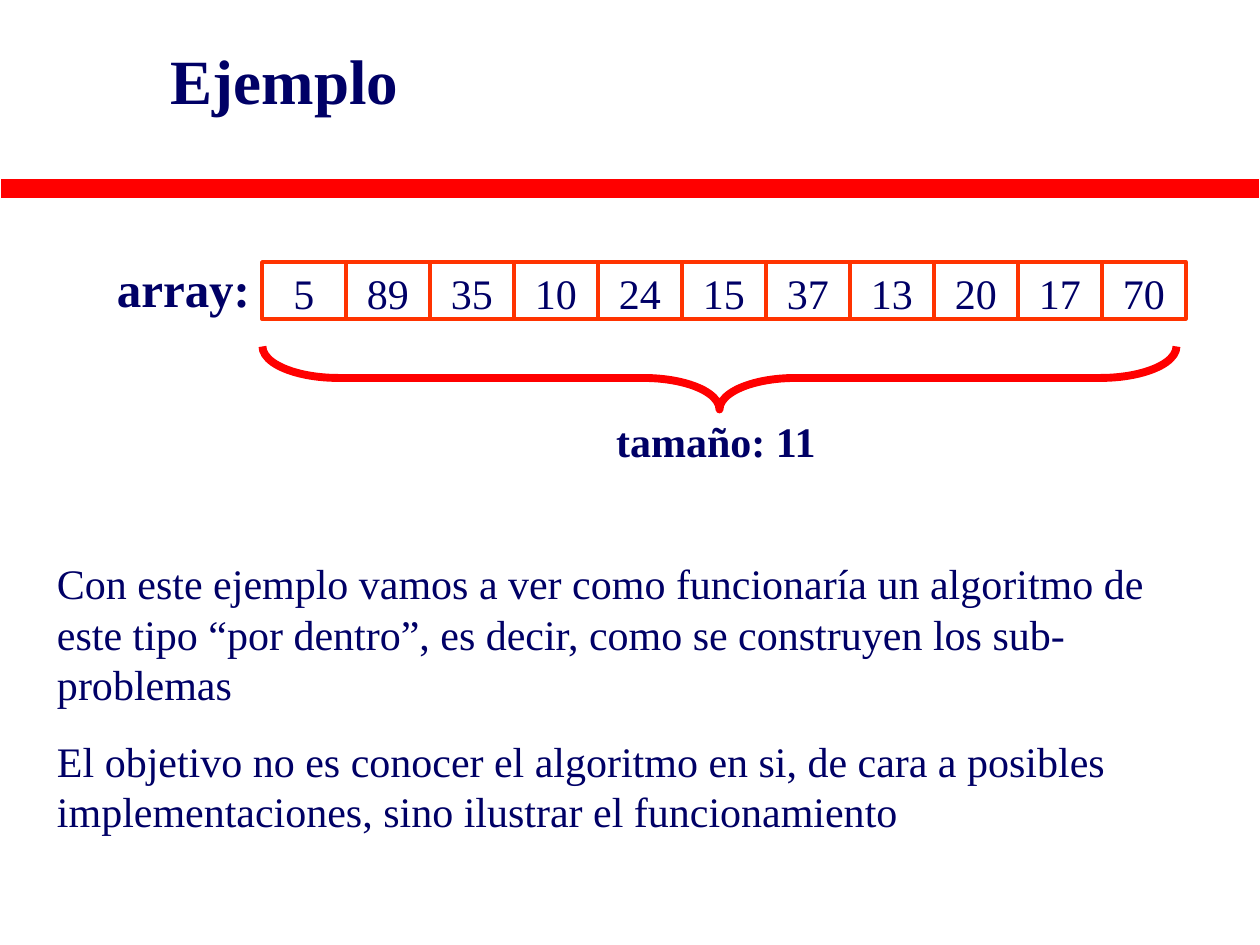
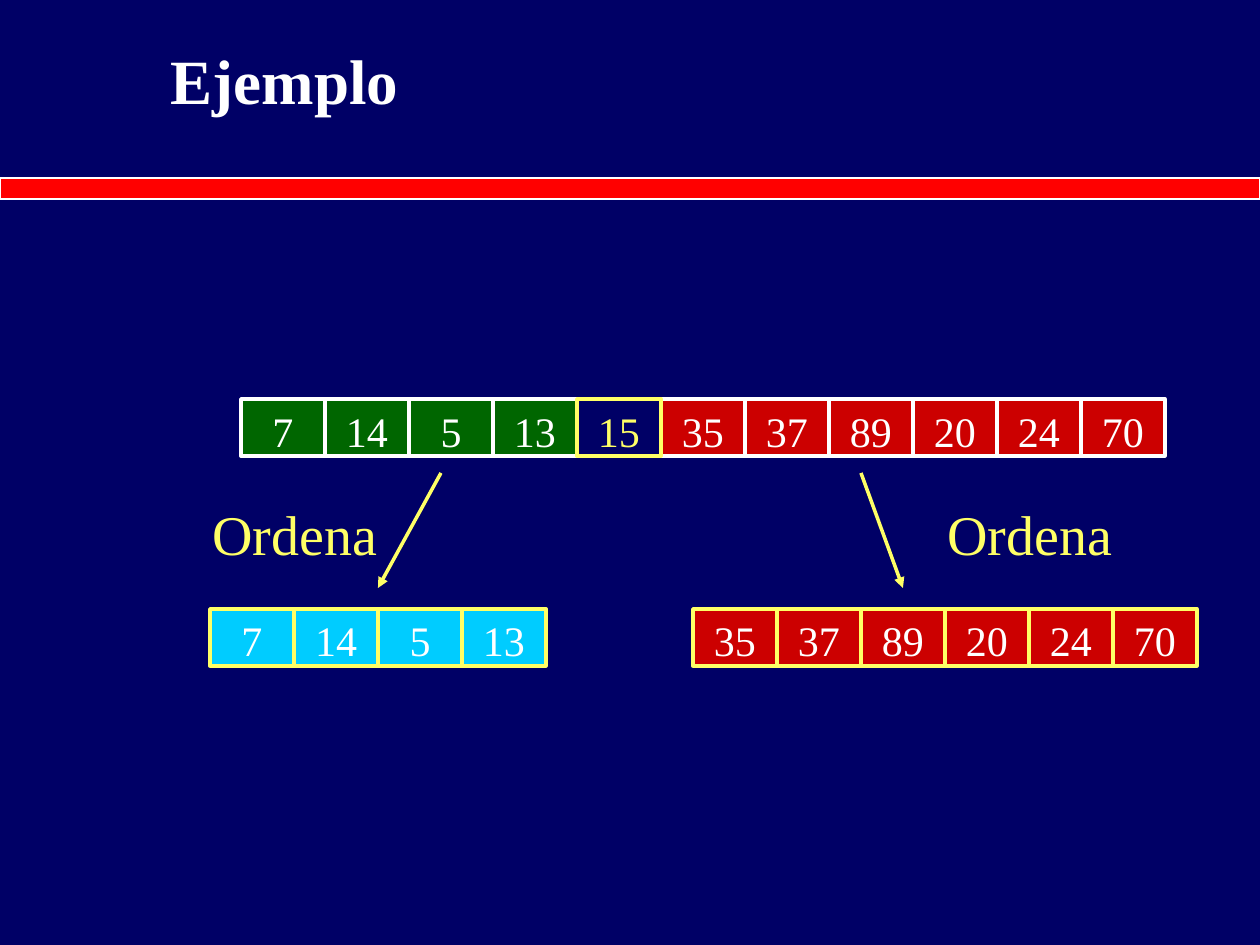
"""Build two slides that show an array and the first partition of its sorting."""
import pptx
import pptx.dml.color
import pptx.enum.shapes
import pptx.enum.text
import pptx.util
import lxml.etree

PX = 7257
FONT = "Times New Roman"
NAVY, WHITE, RED, YELLOW = "000066", "FFFFFF", "FF0000", "FFFF66"
ORANGE, GREEN, CRIMSON, CYAN = "FF3300", "006600", "CC0000", "00CCFF"
CELL_WIDTH, CELL_HEIGHT = 84, 57
SHAPES = pptx.enum.shapes.MSO_SHAPE
ALIGN = pptx.enum.text.PP_ALIGN
ANCHOR = pptx.enum.text.MSO_ANCHOR


def paint(color_format, color):
    color_format.rgb = pptx.dml.color.RGBColor.from_string(color)


def write_text(shape, texts, size, color, align=ALIGN.LEFT, bold=False, anchor=ANCHOR.TOP):
    frame = shape.text_frame
    frame.word_wrap = True
    frame.vertical_anchor = anchor
    frame.margin_left = frame.margin_right = 13 * PX
    frame.margin_top = frame.margin_bottom = 6 * PX
    for index, text in enumerate(texts):
        paragraph = frame.add_paragraph() if index else frame.paragraphs[0]
        paragraph.alignment = align
        paragraph.space_before = pptx.util.Pt(15 if index else 0)
        run = paragraph.add_run()
        run.text = text
        run.font.name = FONT
        run.font.size = pptx.util.Pt(size)
        run.font.bold = bold
        paint(run.font.color, color)


presentation = pptx.Presentation()
presentation.slide_width, presentation.slide_height = 1260 * PX, 945 * PX

slides = []
for background, title_color in [(WHITE, NAVY), (NAVY, WHITE)]:
    slide = presentation.slides.add_slide(presentation.slide_layouts[6])
    slides.append(slide)
    slide.background.fill.solid()
    paint(slide.background.fill.fore_color, background)
    band = slide.shapes.add_shape(SHAPES.RECTANGLE, 0, 178 * PX, 1260 * PX, 21 * PX)
    band.shadow.inherit = False
    band.fill.solid()
    paint(band.fill.fore_color, RED)
    paint(band.line.color, WHITE)
    band.line.width = pptx.util.Pt(1)
    title = slide.shapes.add_textbox(158 * PX, 0, 1071 * PX, 158 * PX)
    write_text(title, ["Ejemplo"], 36, title_color, bold=True, anchor=ANCHOR.MIDDLE)
array_slide, partition_slide = slides

small, large = [7, 14, 5, 13], [35, 37, 89, 20, 24, 70]
cell_rows = [
    (array_slide, 262, 262, [5, 89, 35, 10, 24, 15, 37, 13, 20, 17, 70], None, ORANGE, NAVY),
    (partition_slide, 241, 399, small, GREEN, WHITE, WHITE),
    (partition_slide, 661, 399, large, CRIMSON, WHITE, WHITE),
    (partition_slide, 577, 399, [15], NAVY, YELLOW, YELLOW),
    (partition_slide, 210, 609, small, CYAN, YELLOW, WHITE),
    (partition_slide, 693, 609, large, CRIMSON, YELLOW, WHITE),
]
for slide, left, top, values, fill, border, text_color in cell_rows:
    for column, value in enumerate(values):
        cell = slide.shapes.add_shape(
            SHAPES.RECTANGLE, (left + column * CELL_WIDTH) * PX, top * PX,
            CELL_WIDTH * PX, CELL_HEIGHT * PX)
        cell.shadow.inherit = False
        if fill:
            cell.fill.solid()
            paint(cell.fill.fore_color, fill)
        else:
            cell.fill.background()
        paint(cell.line.color, border)
        cell.line.width = pptx.util.Pt(2)
        write_text(cell, [str(value)], 24, text_color, ALIGN.CENTER)

brace = array_slide.shapes.add_shape(
    SHAPES.RIGHT_BRACE, 688 * PX, -79 * PX, 63 * PX, 914 * PX)
brace.rotation = 90
brace.adjustments[0] = 1.21
brace.shadow.inherit = False
brace.fill.background()
paint(brace.line.color, RED)
brace.line.width = pptx.util.Pt(4.5)

body = [
    "Con este ejemplo vamos a ver como funcionaría un algoritmo de este tipo “por dentro”, "
    "es decir, como se construyen los sub-problemas",
    "El objetivo no es conocer el algoritmo en si, de cara a posibles implementaciones, "
    "sino ilustrar el funcionamiento",
]
labels = [
    (array_slide, (42, 252, 221, 72), ["array:"], 28, NAVY, ALIGN.RIGHT, True),
    (array_slide, (445, 410, 542, 63), ["tamaño: 11"], 24, NAVY, ALIGN.CENTER, True),
    (array_slide, (44, 552, 1181, 291), body, 24, NAVY, ALIGN.LEFT, False),
    (partition_slide, (180, 494, 230, 80), ["Ordena"], 32, YELLOW, ALIGN.CENTER, False),
    (partition_slide, (915, 494, 230, 80), ["Ordena"], 32, YELLOW, ALIGN.CENTER, False),
]
for slide, box, texts, size, color, align, bold in labels:
    label = slide.shapes.add_textbox(*[length * PX for length in box])
    write_text(label, texts, size, color, align, bold)

for start, end in [(441, 378), (861, 903)]:
    arrow = partition_slide.shapes.add_connector(
        pptx.enum.shapes.MSO_CONNECTOR.STRAIGHT, start * PX, 473 * PX, end * PX, 588 * PX)
    paint(arrow.line.color, YELLOW)
    arrow.line.width = pptx.util.Pt(2)
    properties = arrow.element.spPr
    namespace = properties.nsmap["a"]
    line = properties.find(f"{{{namespace}}}ln")
    lxml.etree.SubElement(line, f"{{{namespace}}}tailEnd", type="triangle")
    lxml.etree.SubElement(properties, f"{{{namespace}}}effectLst")

presentation.save("out.pptx")
